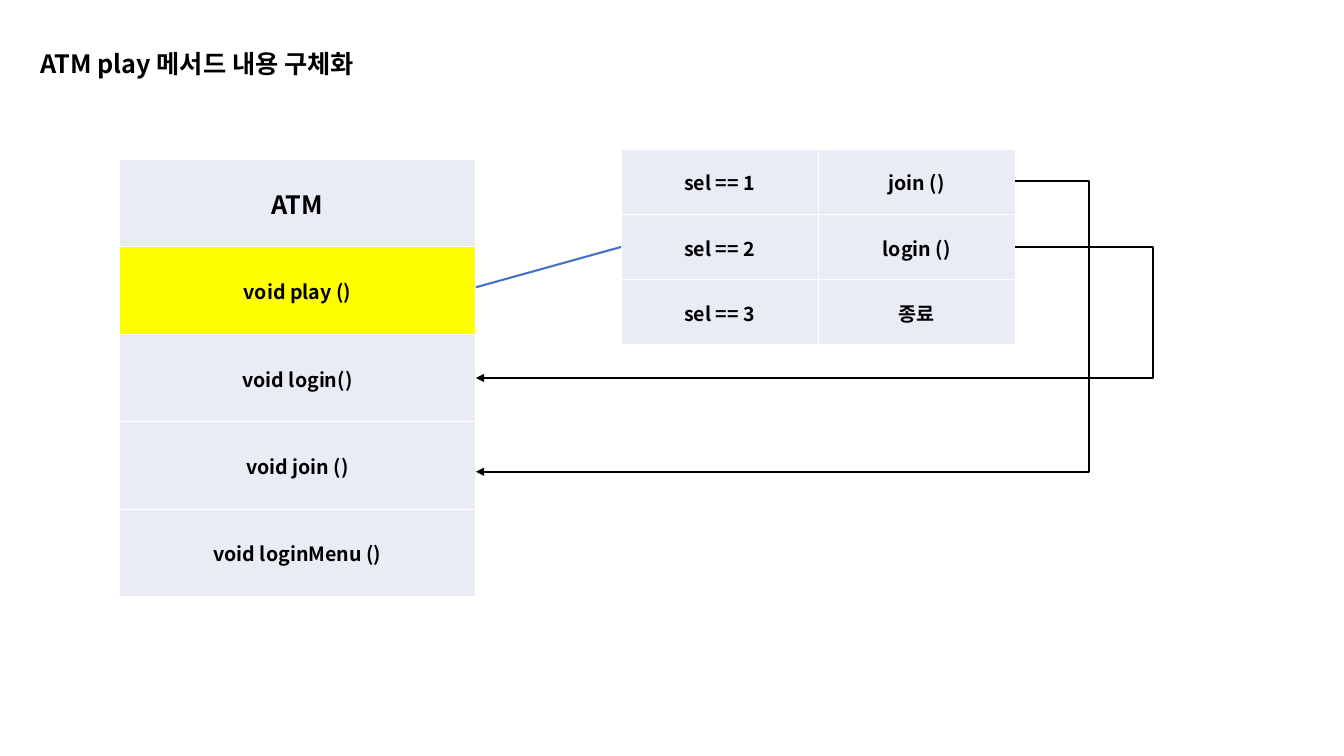
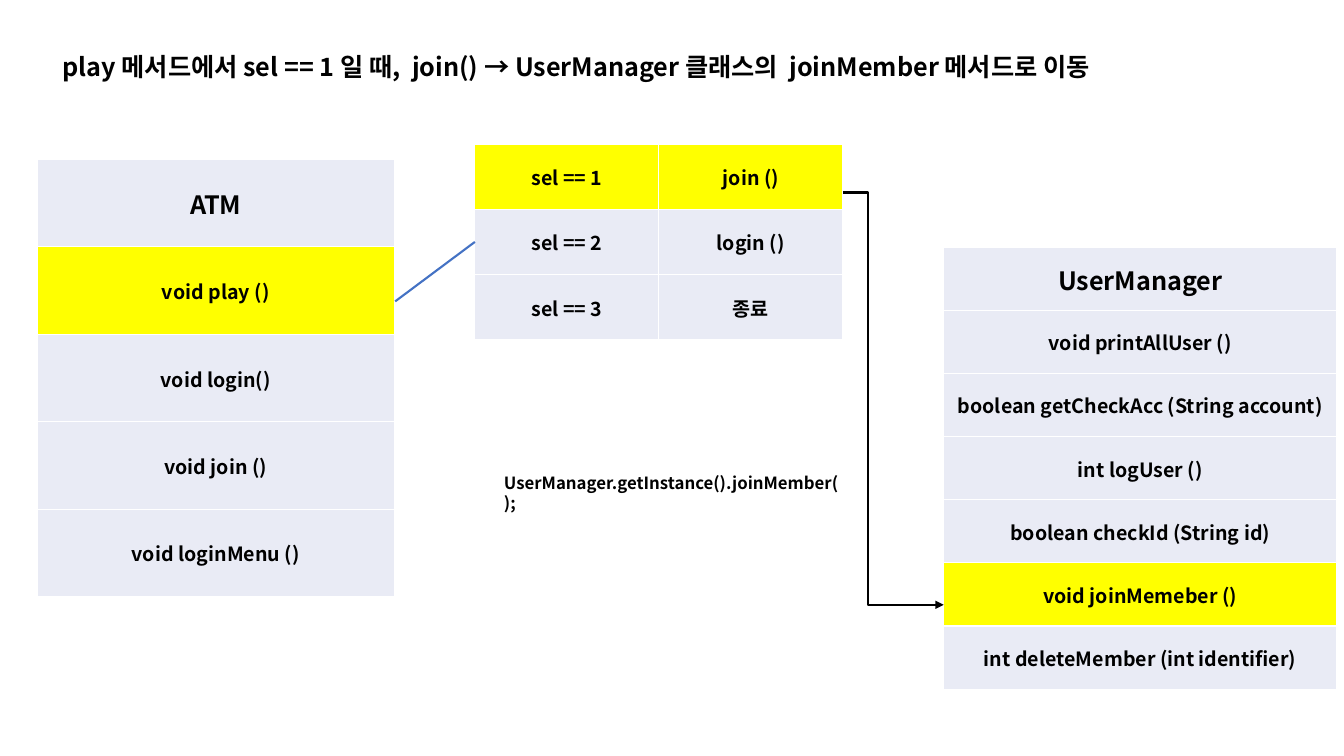
from dataclasses import dataclass

from pptx import Presentation
from pptx.dml.color import RGBColor
from pptx.enum.shapes import MSO_CONNECTOR
from pptx.enum.text import MSO_ANCHOR, MSO_AUTO_SIZE, PP_ALIGN
from pptx.oxml import parse_xml
from pptx.oxml.ns import nsdecls, qn
from pptx.slide import Slide
from pptx.text.text import TextFrame
from pptx.util import Inches, Pt

LEFT, CENTER = PP_ALIGN.LEFT, PP_ALIGN.CENTER
TOP, MIDDLE = MSO_ANCHOR.TOP, MSO_ANCHOR.MIDDLE
STRAIGHT, ELBOW = MSO_CONNECTOR.STRAIGHT, MSO_CONNECTOR.ELBOW

BLACK = RGBColor(0x00, 0x00, 0x00)
WHITE = RGBColor(0xFF, 0xFF, 0xFF)
PALE = RGBColor(0xE9, 0xEB, 0xF5)
YELLOW = RGBColor(0xFF, 0xFF, 0x00)
BLUE = RGBColor(0x44, 0x72, 0xC4)
FONT = "Noto Sans CJK KR"


@dataclass(frozen=True)
class Grid:
    """A table: cell texts, place, and the row to mark."""
    rows: list[list[str]]
    left: float
    top: float
    width: float
    height: float
    marked: int | None = None
    headed: bool = True


@dataclass(frozen=True)
class Link:
    """A line; bend is the x of an elbow's upright part."""
    start: tuple[float, float]
    end: tuple[float, float]
    color: RGBColor = BLACK
    bend: float | None = None


ATM = [["ATM"], ["void play ()"], ["void login()"], ["void join ()"],
       ["void loginMenu ()"]]
MENU = [["sel == 1", "join ()"], ["sel == 2", "login ()"],
        ["sel == 3", "종료"]]
USERS = [["UserManager"], ["void printAllUser ()"],
         ["boolean getCheckAcc (String account)"], ["int logUser ()"],
         ["boolean checkId (String id)"], ["void joinMemeber ()"],
         ["int deleteMember (int identifier)"]]


def write(frame: TextFrame, text: str, *, size: float = 14,
          align: PP_ALIGN = LEFT, color: RGBColor = BLACK) -> None:
    """Put one bold line of text in a frame."""
    para = frame.paragraphs[0]
    para.alignment = align
    run = para.add_run()
    run.text = text
    font = run.font
    font.name, font.size, font.bold = FONT, Pt(size), True
    font.color.rgb = color
    # East Asian letters need the font named as well
    run._r.get_or_add_rPr().append(
        parse_xml(f'<a:ea {nsdecls("a")} typeface="{FONT}"/>'))


def add_title(slide: Slide, text: str, left: float, top: float,
              width: float) -> None:
    title = slide.shapes.title
    title.left, title.top = Inches(left), Inches(top)
    title.width, title.height = Inches(width), Inches(0.4)
    frame = title.text_frame
    frame.auto_size = MSO_AUTO_SIZE.NONE
    frame.vertical_anchor = TOP
    write(frame, text, size=18)


def add_note(slide: Slide, text: str, left: float, top: float,
             width: float) -> None:
    box = slide.shapes.add_textbox(Inches(left), Inches(top),
                                   Inches(width), Inches(0.3))
    box.text_frame.word_wrap = True
    write(box.text_frame, text, size=12)


def add_grid(slide: Slide, grid: Grid) -> None:
    count, cols = len(grid.rows), len(grid.rows[0])
    table = slide.shapes.add_table(
        count, cols, Inches(grid.left), Inches(grid.top),
        Inches(grid.width), Inches(grid.height)).table
    for col in table.columns:
        col.width = Inches(grid.width / cols)
    for i, texts in enumerate(grid.rows):
        table.rows[i].height = Inches(grid.height / count)
        for j, text in enumerate(texts):
            cell = table.cell(i, j)
            cell.margin_left = cell.margin_right = Inches(0.01)
            cell.margin_top, cell.margin_bottom = Inches(0.01), 0
            cell.vertical_anchor = MIDDLE
            # White borders come before the fill
            props = cell._tc.get_or_add_tcPr()
            for side in ("lnL", "lnR", "lnT", "lnB"):
                props.append(parse_xml(
                    f'<a:{side} {nsdecls("a")} w="{Pt(1)}"><a:solidFill>'
                    f'<a:srgbClr val="{WHITE}"/></a:solidFill></a:{side}>'))
            cell.fill.solid()
            cell.fill.fore_color.rgb = YELLOW if i == grid.marked else PALE
            head = grid.headed and i == 0
            write(cell.text_frame, text, size=18 if head else 14,
                  align=CENTER)


def add_link(slide: Slide, link: Link) -> None:
    bent = link.bend is not None
    line = slide.shapes.add_connector(
        ELBOW if bent else STRAIGHT,
        *(Inches(v) for v in link.start + link.end))
    line.line.color.rgb = link.color
    line.line.width = Pt(1.5)
    props = line._element.spPr
    if bent:
        # Place the upright part and add the arrowhead
        x1, x2 = link.start[0], link.end[0]
        share = round((link.bend - x1) / (x2 - x1) * 100000)
        shape = props.find(qn("a:prstGeom"))
        for old in shape.findall(qn("a:avLst")):
            shape.remove(old)
        shape.append(parse_xml(
            f'<a:avLst {nsdecls("a")}>'
            f'<a:gd name="adj1" fmla="val {share}"/></a:avLst>'))
        props.find(qn("a:ln")).append(
            parse_xml(f'<a:tailEnd {nsdecls("a")} type="triangle"/>'))
    props.append(parse_xml(f'<a:effectLst {nsdecls("a")}/>'))


def add_flow(slide: Slide, grids: list[Grid], links: list[Link]) -> None:
    for grid in grids:
        add_grid(slide, grid)
    for link in links:
        add_link(slide, link)


def main() -> None:
    deck = Presentation()
    deck.slide_width, deck.slide_height = Inches(13.33), Inches(7.5)
    layout = deck.slide_layouts[5]

    # Slide 1: what play does
    slide = deck.slides.add_slide(layout)
    add_title(slide, "ATM play 메서드 내용 구체화", 0.3, 0.43, 5.09)
    add_flow(slide, [
        Grid(ATM, 1.18, 1.58, 3.54, 4.34, marked=1),
        Grid(MENU, 6.16, 1.48, 3.91, 1.94, headed=False),
    ], [
        Link((4.72, 2.85), (6.16, 2.45), BLUE),
        Link((10.07, 1.8), (4.72, 4.68), bend=10.8),
        Link((10.07, 2.45), (4.72, 3.75), bend=11.44),
    ])

    # Slide 2: from join to UserManager
    slide = deck.slides.add_slide(layout)
    add_title(slide, "play 메서드에서 sel == 1 일 때,  join() → UserManager "
              "클래스의  joinMember 메서드로 이동", 0.52, 0.46, 12.4)
    add_flow(slide, [
        Grid(ATM, 0.37, 1.58, 3.54, 4.34, marked=1),
        Grid(MENU, 4.71, 1.43, 3.65, 1.94, marked=0, headed=False),
        Grid(USERS, 9.36, 2.45, 3.9, 4.39, marked=5),
    ], [
        Link((3.92, 2.99), (4.71, 2.4), BLUE),
        Link((8.36, 1.91), (9.36, 6), bend=8.61),
    ])
    add_note(slide, "UserManager.getInstance().joinMember();",
             4.9, 4.64, 3.53)

    deck.save("out.pptx")


if __name__ == "__main__":
    main()
